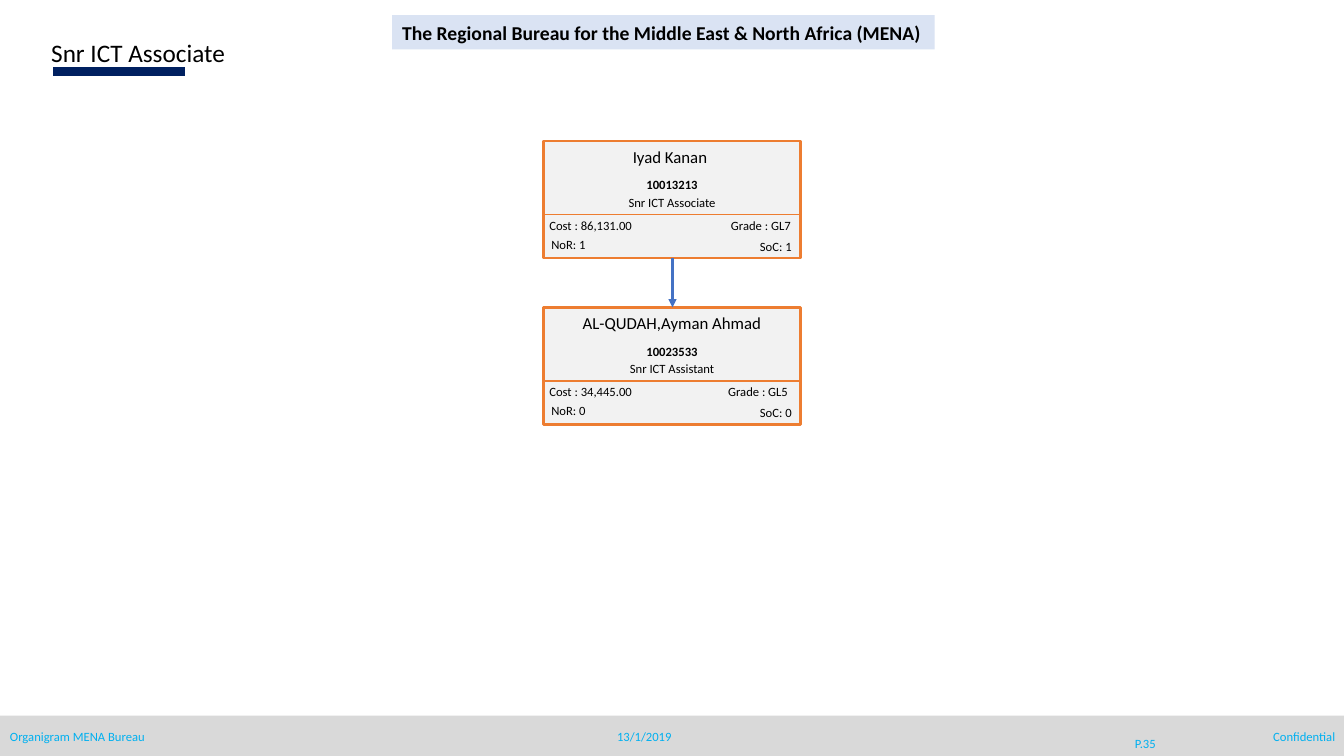
import pptx
import pptx.util
import pptx.dml.color
import pptx.enum.text
import pptx.enum.shapes
import pptx.oxml

Inches = pptx.util.Inches
ALIGN = pptx.enum.text.PP_ALIGN
ANCHOR = pptx.enum.text.MSO_ANCHOR
FONT = "Calibri"
BLACK, CYAN, ORANGE = "000000", "00B0F0", "ED7D31"
LEFT, WIDE, HIGH, ROW = 5.39, 2.55, 1.16, 0.25


def color(code):
    return pptx.dml.color.RGBColor.from_string(code)


def write(shape, text, size, ink, align, bold=False):
    para = shape.text_frame.paragraphs[0]
    para.text = text
    para.alignment = align
    para.font.name = FONT
    para.font.size = pptx.util.Pt(size)
    para.font.bold = bold
    para.font.color.rgb = color(ink)


def label(slide, text, box, size=9, ink=BLACK, align=ALIGN.LEFT,
          bold=False, anchor=ANCHOR.TOP):
    shape = slide.shapes.add_textbox(*map(Inches, box))
    shape.text_frame.word_wrap = True
    shape.text_frame.vertical_anchor = anchor
    write(shape, text, size, ink, align, bold)


def panel(slide, box, fill, edge=None):
    shape = slide.shapes.add_shape(
        pptx.enum.shapes.MSO_SHAPE.RECTANGLE, *map(Inches, box))
    shape.shadow.inherit = False
    shape.fill.solid()
    shape.fill.fore_color.rgb = color(fill)
    if edge:
        shape.line.color.rgb = color(edge)
        shape.line.width = pptx.util.Pt(2)
    else:
        shape.line.fill.background()
    return shape


def rule(slide, start, end, ink, width, arrow=False):
    line = slide.shapes.add_connector(
        pptx.enum.shapes.MSO_CONNECTOR.STRAIGHT,
        *map(Inches, start + end))
    line.line.color.rgb = color(ink)
    line.line.width = pptx.util.Pt(width)
    space = pptx.oxml.ns.nsdecls("a")
    if arrow:
        line.line._get_or_add_ln().append(
            pptx.oxml.parse_xml(f'<a:tailEnd {space} type="triangle"/>'))
    line._element.spPr.append(pptx.oxml.parse_xml(f"<a:effectLst {space}/>"))


def card(slide, top, name, code, role, cost, grade, nor, soc, shift, rise):
    """Draw one staff card; shift and rise nudge its name and number."""
    panel(slide, (LEFT, top, WIDE, HIGH), "F2F2F2", ORANGE)
    rule(slide, (LEFT, top + 0.73), (LEFT + WIDE, top + 0.73), ORANGE, 1)
    # Centred heading lines
    mid = ALIGN.CENTER
    label(slide, name, (LEFT + shift, top + rise, WIDE, 0.3), 12, align=mid)
    label(slide, code, (LEFT, top + 0.31, WIDE, ROW), align=mid, bold=True)
    label(slide, role, (LEFT, top + 0.48, WIDE, ROW), align=mid)
    # Figures in the two lower corners
    label(slide, cost, (5.35, top + 0.71, 1.4, ROW))
    label(slide, grade, (6.72, top + 0.71, 1.22, ROW), align=ALIGN.RIGHT)
    label(slide, nor, (5.37, top + 0.9, 0.78, ROW))
    label(slide, soc, (6.93, top + 0.92, 1.02, ROW), align=ALIGN.RIGHT)


def footer(slide):
    panel(slide, (0, 7.1, 13.33, 0.41), "D9D9D9")
    notes = [
        ("Organigram MENA Bureau", (0, 7.18, 3.08, ROW), ALIGN.LEFT, ANCHOR.TOP),
        ("13/1/2019", (5.95, 7.18, 0.88, ROW), ALIGN.CENTER, ANCHOR.MIDDLE),
        ("P.35", (10.96, 7.18, 0.8, 0.4), ALIGN.CENTER, ANCHOR.MIDDLE),
        ("Confidential", (10.26, 7.18, 3.08, ROW), ALIGN.RIGHT, ANCHOR.TOP),
    ]
    for text, box, align, anchor in notes:
        label(slide, text, box, ink=CYAN, align=align, anchor=anchor)


def main():
    deck = pptx.Presentation()
    deck.slide_width, deck.slide_height = Inches(13.33), Inches(7.5)
    slide = deck.slides.add_slide(deck.slide_layouts[6])

    # Title, its bar and the bureau banner
    rule(slide, (0.53, 0.71), (1.84, 0.71), "002060", 7)
    label(slide, "Snr ICT Associate", (0.41, 0.32, 5.3, 0.41), 18)
    banner = panel(slide, (3.89, 0.15, 5.38, 0.34), "DAE3F3")
    banner.text_frame.word_wrap = False
    write(banner, "The Regional Bureau for the Middle East & North Africa (MENA)",
          14, BLACK, ALIGN.LEFT, True)

    # Staff cards and the link between them
    card(slide, 1.4, "Iyad Kanan", "10013213", "Snr ICT Associate",
         "Cost : 86,131.00", "Grade : GL7", "NoR: 1", "SoC: 1", -0.02, 0.01)
    card(slide, 3.05, "AL-QUDAH,Ayman Ahmad", "10023533", "Snr ICT Assistant",
         "Cost : 34,445.00", "Grade : GL5 ", "NoR: 0", "SoC: 0", 0, 0)
    rule(slide, (6.67, 1.4 + HIGH), (6.67, 3.05), "4472C4", 1.5, True)

    footer(slide)
    deck.save("out.pptx")


if __name__ == "__main__":
    main()
